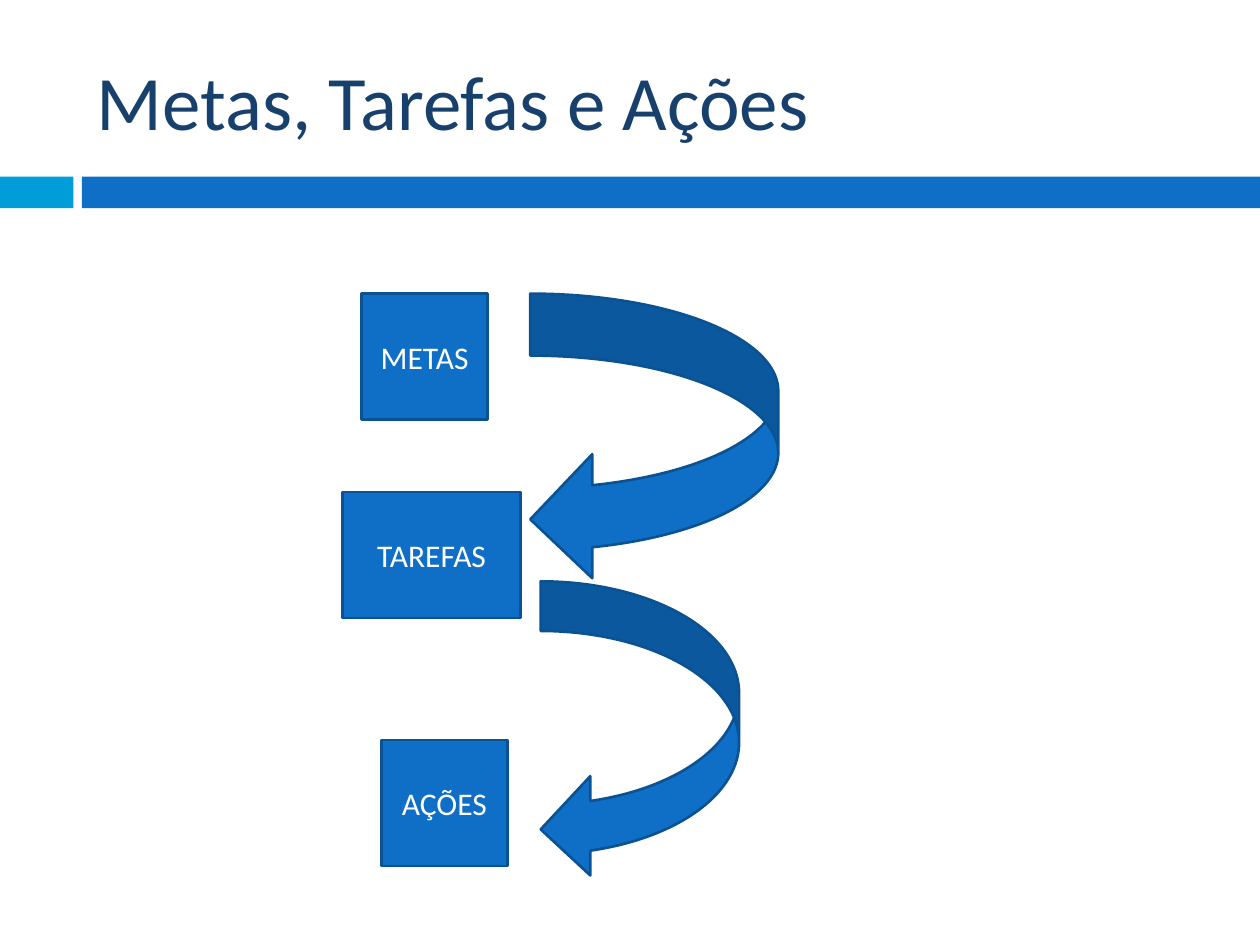
from dataclasses import dataclass

from pptx import Presentation
from pptx.dml.color import RGBColor
from pptx.enum.shapes import MSO_SHAPE
from pptx.enum.text import MSO_ANCHOR, PP_ALIGN
from pptx.util import Cm, Pt


@dataclass(frozen=True)
class Theme:
    font: str = "Calibri"
    title_size: int = 44
    box_size: int = 18
    line_width: float = 1.5
    navy: str = "17406D"
    blue: str = "0F6FC6"
    cyan: str = "009DD9"
    outline: str = "0B5292"
    white: str = "FFFFFF"


class Deck:
    """Holds the theme and the current slide; positions are in centimetres."""

    def __init__(self, prs, theme):
        self.theme = theme
        self.s = prs.slides.add_slide(prs.slide_layouts[6])

    def shape(self, kind, box, fill, line=None):
        sp = self.s.shapes.add_shape(kind, *map(Cm, box))
        sp.shadow.inherit = False
        sp.fill.solid()
        sp.fill.fore_color.rgb = RGBColor.from_string(fill)
        if line:
            sp.line.color.rgb = RGBColor.from_string(line)
            sp.line.width = Pt(self.theme.line_width)
        else:
            sp.line.fill.background()
        return sp

    def add_text(self, sp, text, size, color, align):
        tf = sp.text_frame
        tf.word_wrap = True
        tf.vertical_anchor = MSO_ANCHOR.MIDDLE
        p = tf.paragraphs[0]
        p.alignment = align
        r = p.add_run()
        r.text = text
        r.font.name = self.theme.font
        r.font.size = Pt(size)
        r.font.color.rgb = RGBColor.from_string(color)

    def title(self, text, box):
        sp = self.s.shapes.add_textbox(*map(Cm, box))
        self.add_text(sp, text, self.theme.title_size, self.theme.navy, PP_ALIGN.LEFT)

    def bar(self, left, width, fill):
        self.shape(MSO_SHAPE.RECTANGLE, (left, 3.56, width, 0.64), fill)

    def step(self, text, left, top, width, height=2.54):
        t = self.theme
        sp = self.shape(MSO_SHAPE.RECTANGLE, (left, top, width, height), t.blue, t.outline)
        self.add_text(sp, text, t.box_size, t.white, PP_ALIGN.CENTER)

    def arrow(self, *box):
        self.shape(MSO_SHAPE.CURVED_LEFT_ARROW, box, self.theme.blue, self.theme.outline)


def main():
    prs = Presentation()
    prs.slide_width, prs.slide_height = Cm(25.4), Cm(19.05)
    theme = Theme()
    deck = Deck(prs, theme)

    deck.bar(0, 1.48, theme.cyan)
    deck.bar(1.65, 23.75, theme.blue)
    deck.title("Metas, Tarefas e Ações", (1.7, 0.64, 22.66, 2.74))

    deck.step("METAS", 7.29, 5.92, 2.54)
    deck.step("TAREFAS", 6.9, 9.92, 3.6)
    deck.step("AÇÕES", 7.69, 14.92, 2.54)

    deck.arrow(10.69, 5.92, 5, 5.8)
    deck.arrow(10.9, 11.72, 4, 6)

    prs.save("out.pptx")


if __name__ == "__main__":
    main()
